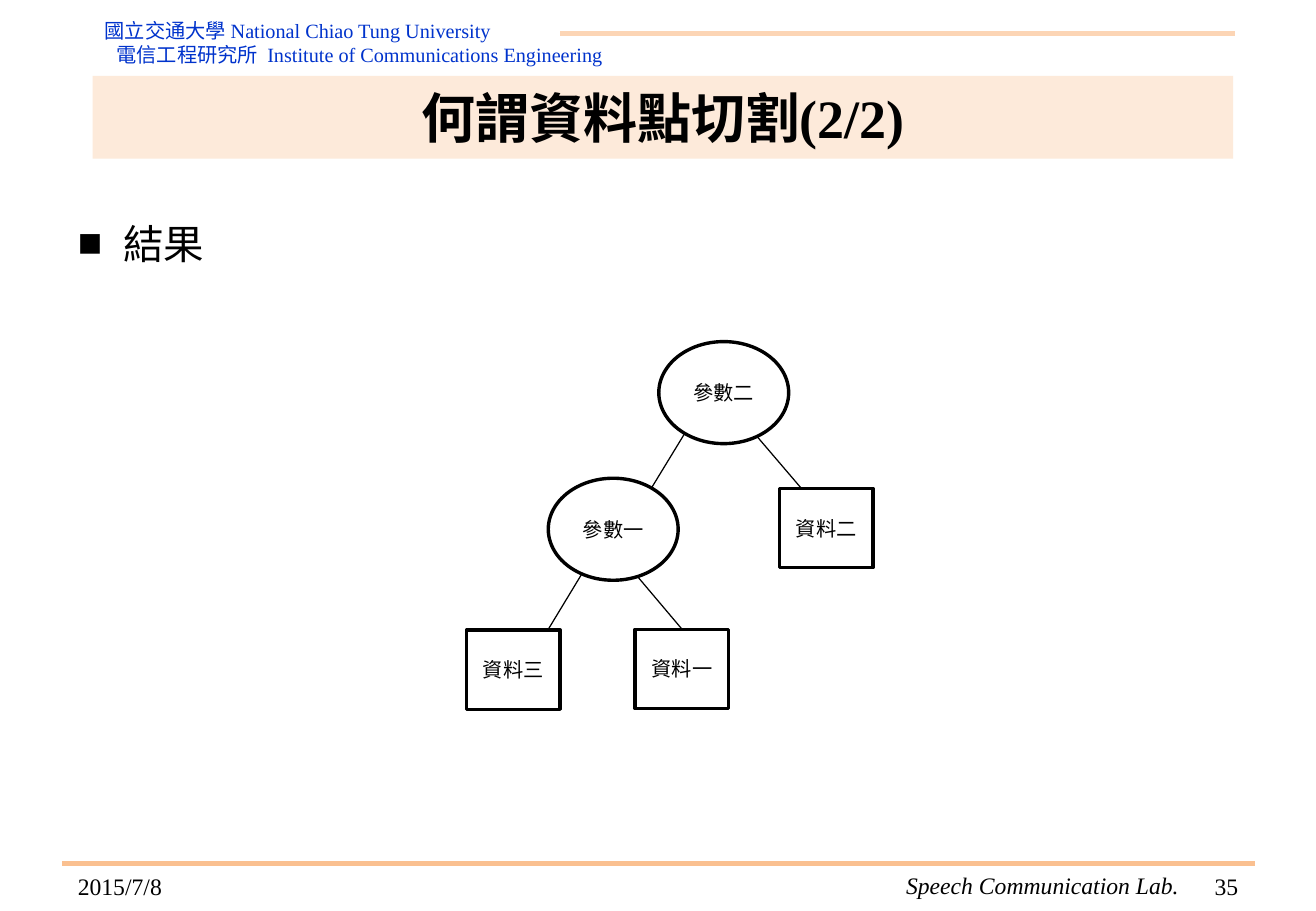
from lxml import etree
from pptx import Presentation
from pptx.dml.color import RGBColor
from pptx.enum.shapes import MSO_CONNECTOR as Connector, MSO_SHAPE as Shape
from pptx.enum.text import MSO_ANCHOR as Anchor, PP_ALIGN as Align
from pptx.oxml.ns import qn
from pptx.util import Pt

COLORS = {
    "ink": "000000",
    "paper": "FFFFFF",
    "school": "0033CC",
    "title band": "FDEADA",
    "top rule": "FCD5B5",
    "bottom rule": "FAC090",
}

deck = Presentation()
deck.slide_width, deck.slide_height = Pt(780), Pt(540)
slide = deck.slides.add_slide(deck.slide_layouts[6])


def add_text(text, left, top, width, height, *, size, font="Times New Roman",
             color="ink", bold=False, italic=False, align=Align.LEFT,
             anchor=Anchor.TOP, shape=None, fill=None, border=0, indent=0, bullet=None):
    """Add a text box, or a filled preset shape holding text, and return it."""
    box = [Pt(length) for length in (left, top, width, height)]
    if shape is None:
        item = slide.shapes.add_textbox(*box)
    else:
        item = slide.shapes.add_shape(shape, *box)
        item.shadow.inherit = False
        item.fill.solid()
        item.fill.fore_color.rgb = RGBColor.from_string(COLORS[fill])
        if border:
            item.line.color.rgb = RGBColor.from_string(COLORS["ink"])
            item.line.width = Pt(border)
        else:
            item.line.fill.background()
    frame = item.text_frame
    frame.word_wrap = True
    frame.vertical_anchor = anchor
    paragraph = frame.paragraphs[0]
    paragraph.alignment = align
    if indent:
        properties = paragraph._p.get_or_add_pPr()
        properties.set("marL", str(Pt(indent)))
        if bullet:
            properties.set("indent", str(-Pt(indent)))
            etree.SubElement(properties, qn("a:buFont"), typeface=font)
            etree.SubElement(properties, qn("a:buChar"), char=bullet)
    run = paragraph.add_run()
    run.text = text
    run.font.name, run.font.size = font, Pt(size)
    run.font.bold, run.font.italic = bold, italic
    run.font.color.rgb = RGBColor.from_string(COLORS[color])
    return item


def add_line(start, end, color, width):
    line = slide.shapes.add_connector(
        Connector.STRAIGHT, *[Pt(length) for length in (*start, *end)])
    line.line.color.rgb = RGBColor.from_string(COLORS[color])
    line.line.width = Pt(width)
    etree.SubElement(line._element.spPr, qn("a:effectLst"))
    return line


# Header and footer
add_line((332, 20), (732, 20), "top rule", 3)
add_line((37, 512), (744, 512), "bottom rule", 3)
add_text("國立交通大學 National Chiao Tung University", 55, 7, 305, 40,
         size=12, color="school")
add_text("電信工程研究所  Institute of Communications Engineering", 59, 21.5, 354, 40,
         size=12, color="school", indent=3)
add_text("Speech Communication Lab.", 530, 512.5, 238, 25, size=14, italic=True)
add_text("2015/7/8", 39, 511, 182, 29, size=14, anchor=Anchor.MIDDLE)
add_text("35", 559, 511, 182, 29, size=14, anchor=Anchor.MIDDLE, align=Align.RIGHT)

# Title and body
add_text("何謂資料點切割(2/2)", 55, 45, 676, 49, size=32, bold=True, align=Align.CENTER,
         anchor=Anchor.MIDDLE, shape=Shape.RECTANGLE, fill="title band")
add_text("結果", 39, 126, 702, 371, size=24, indent=27, bullet="■")

# Decision tree: parameters are ellipses, data points are rectangles
NODE_SIZES = {Shape.OVAL: (77, 60.5), Shape.RECTANGLE: (55.5, 47)}
tree_nodes = {}
for label, shape, left, top in [
    ("參數二", Shape.OVAL, 390.5, 202.5),
    ("參數一", Shape.OVAL, 325, 283.5),
    ("資料二", Shape.RECTANGLE, 462, 289.5),
    ("資料一", Shape.RECTANGLE, 376.5, 373),
    ("資料三", Shape.RECTANGLE, 276.5, 373.5),
]:
    tree_nodes[label] = add_text(
        label, left, top, *NODE_SIZES[shape], size=12, font="Calibri", align=Align.CENTER,
        anchor=Anchor.MIDDLE, shape=shape, fill="paper", border=2)

for start, end in [
    ((448.5, 258.5), (475, 289.5)),
    ((405.5, 257.5), (386, 289.5)),
    ((345, 340), (325, 373)),
]:
    add_line(start, end, "ink", 0.75)
branch = add_line((378.5, 342.5), (404.25, 373), "ink", 0.75)
branch.end_connect(tree_nodes["資料一"], 0)

deck.save("out.pptx")
